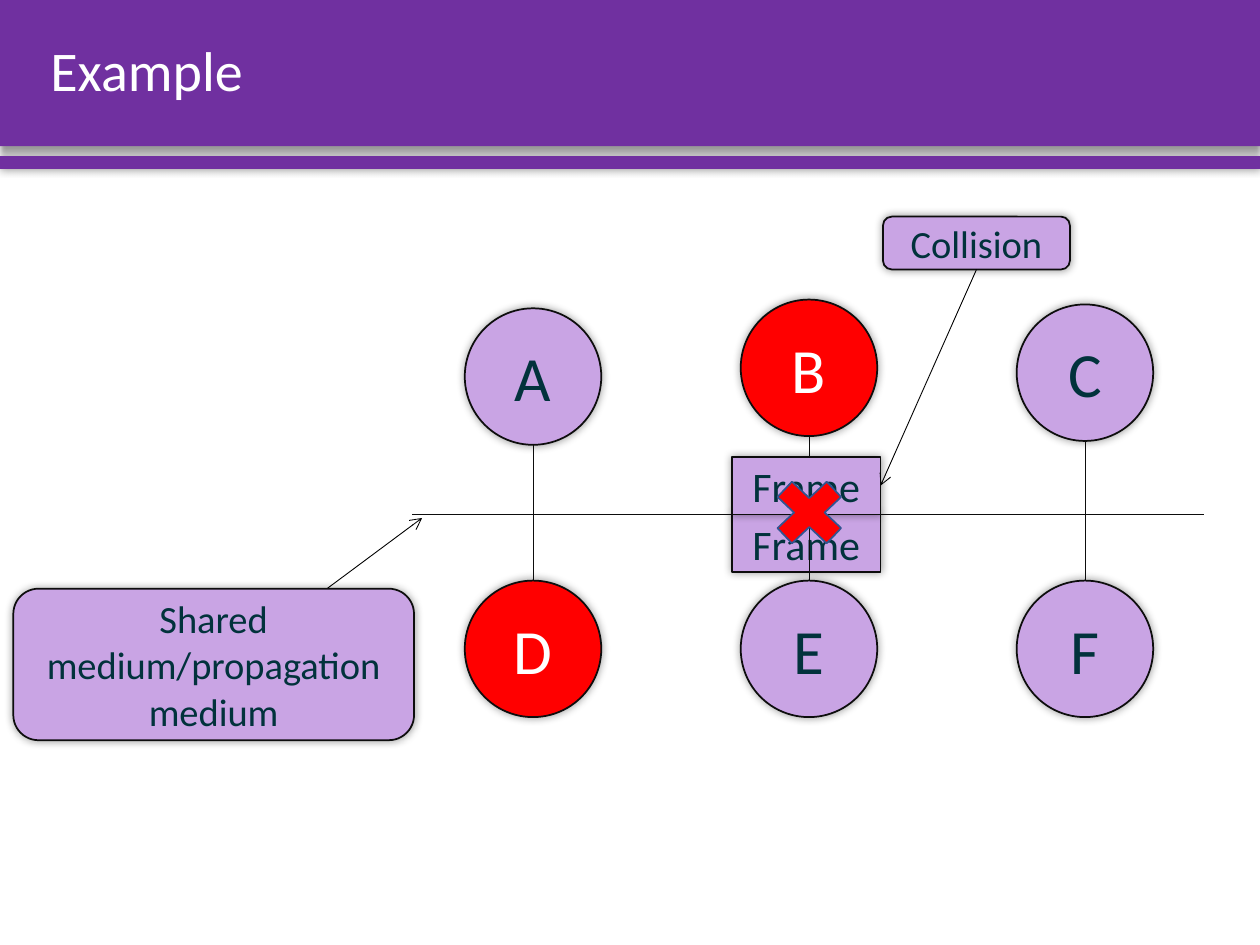
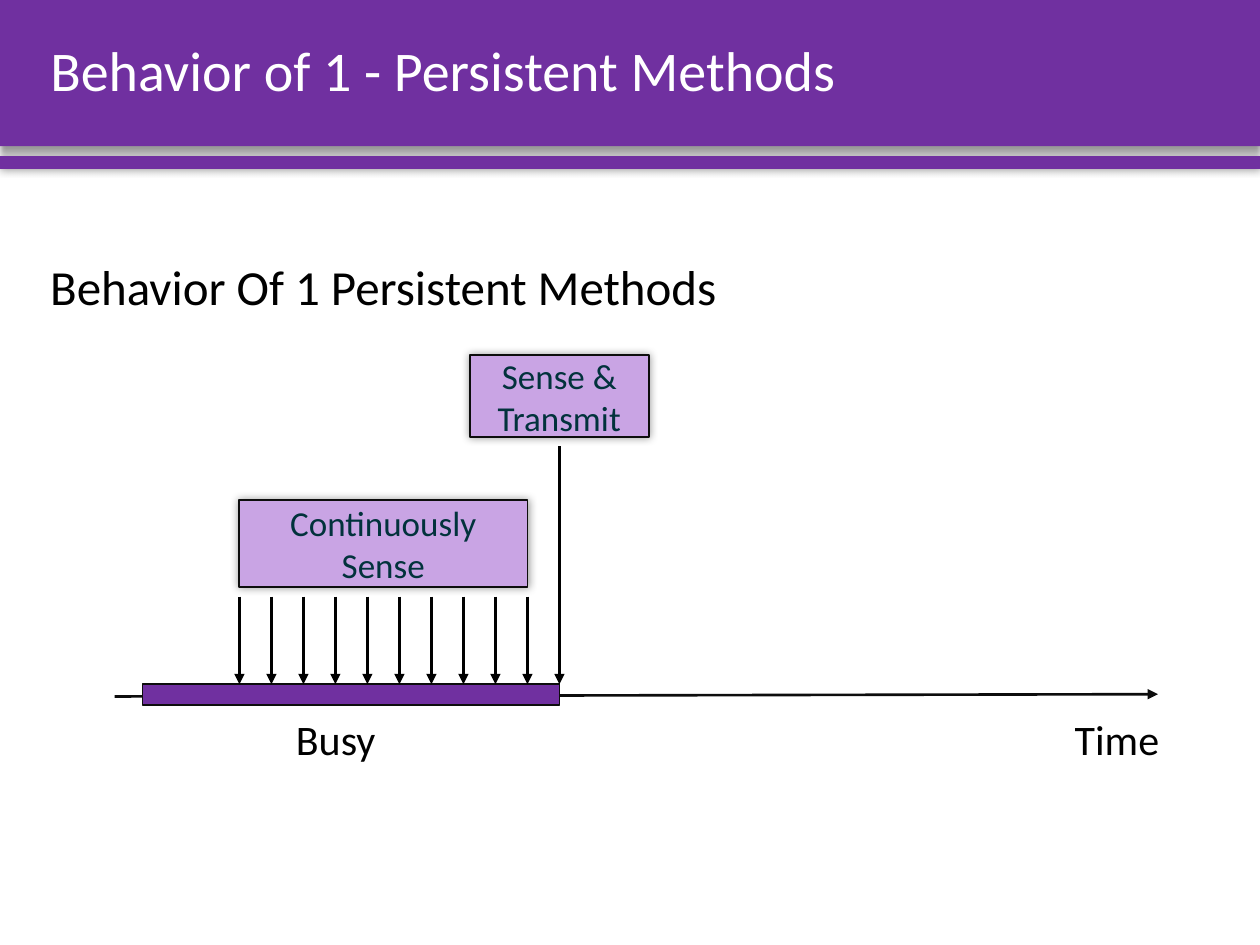
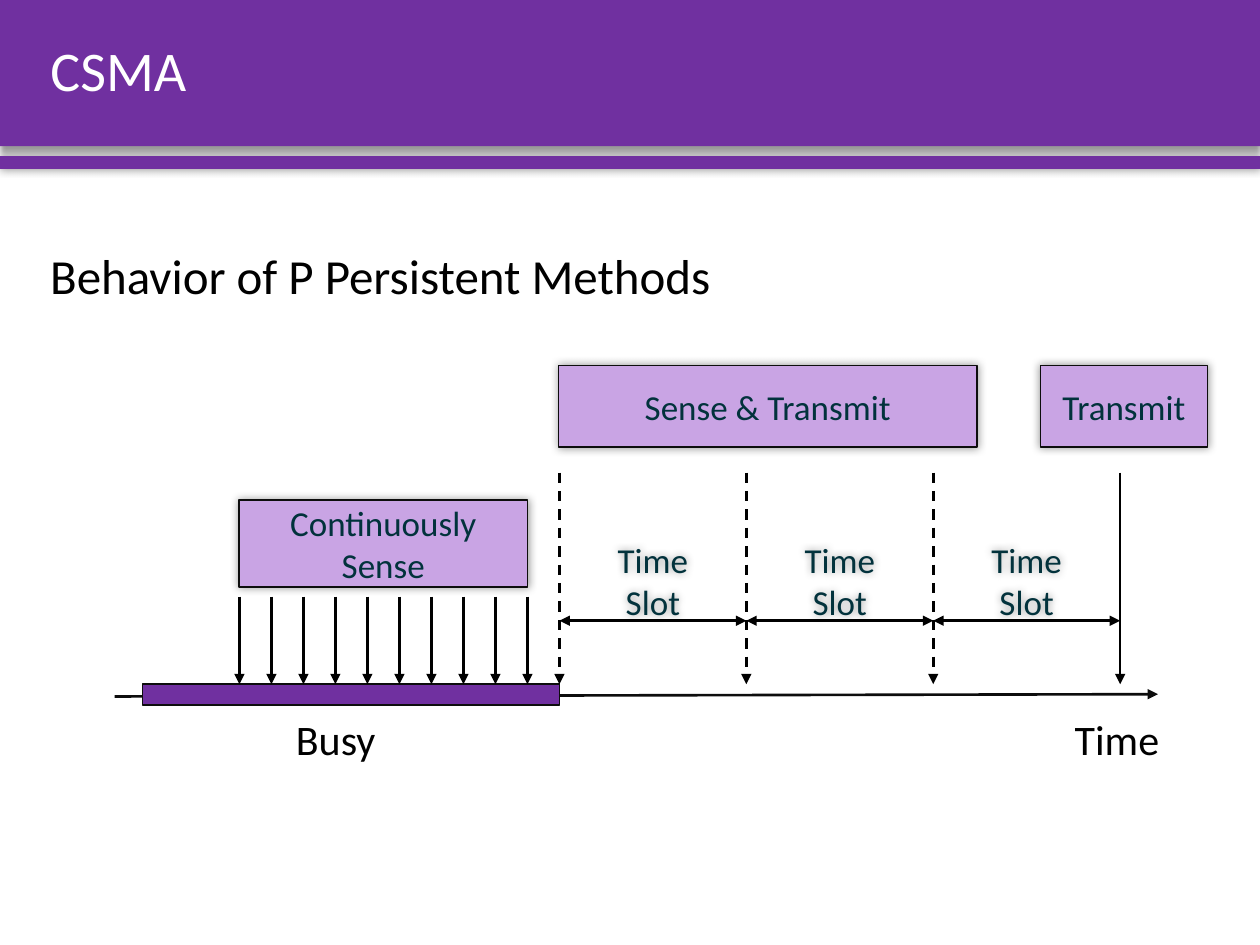
from pptx import Presentation
from pptx.dml.color import RGBColor
from pptx.enum import dml, shapes, text
from pptx.oxml import parse_xml
from pptx.oxml import ns
from pptx.util import Pt

PURPLE = RGBColor(0x70, 0x30, 0xA0)
LILAC = RGBColor(0xC9, 0xA4, 0xE4)
RED = RGBColor(0xFF, 0x00, 0x00)
NAVY = RGBColor(0x32, 0x54, 0x91)
TEAL = RGBColor(0x02, 0x32, 0x3C)
INK = RGBColor(0x0D, 0x0D, 0x0D)
BLACK = RGBColor(0x00, 0x00, 0x00)
WHITE = RGBColor(0xFF, 0xFF, 0xFF)

FONT = "Calibri"
RECT = shapes.MSO_SHAPE.RECTANGLE
ROUNDED = shapes.MSO_SHAPE.ROUNDED_RECTANGLE
GLOW = (5, 0, 0)
BAND_HEIGHT = 83.5

MEDIUM_Y = 294
NODE_SIZE = 78
NODE_X = 304.6
NODE_PITCH = 157.7

SENSE_X = 136.8
SENSE_PITCH = 18.29
SENSE_COUNT = 10
BUSY_X = 81.4
BUSY_Y = 391
IDLE_X = SENSE_X + SENSE_COUNT * SENSE_PITCH
SLOT_WIDTH = 106.8
SLOT_COUNT = 3


def add_run(paragraph, words, size, color):
    """Add one formatted run to a paragraph."""
    run = paragraph.add_run()
    run.text = words
    run.font.name = FONT
    run.font.size = Pt(size)
    run.font.color.rgb = color


def add_shadow(shape, blur, distance, angle):
    """Give a shape a soft black shadow."""
    shape.shadow.inherit = False
    effects = shape.element.spPr.find(ns.qn("a:effectLst"))
    effects.append(parse_xml(
        f'<a:outerShdw {ns.nsdecls("a")} blurRad="{Pt(blur)}" dist="{Pt(distance)}" '
        f'dir="{angle * 60000}" algn="ctr" rotWithShape="0">'
        '<a:srgbClr val="000000"><a:alpha val="40000"/></a:srgbClr></a:outerShdw>'))


def add_box(slide, place, words="", size=20, kind=RECT, fill=LILAC, outline=INK,
            color=TEAL, shadow=GLOW):
    """Draw a preset shape with centred text."""
    box = slide.shapes.add_shape(kind, *map(Pt, place))
    if fill is None:
        box.fill.background()
    else:
        box.fill.solid()
        box.fill.fore_color.rgb = fill
    if outline is None:
        box.line.fill.background()
    else:
        box.line.color.rgb = outline
        box.line.width = Pt(1)
    box.shadow.inherit = False
    if shadow:
        add_shadow(box, *shadow)
    if words:
        frame = box.text_frame
        frame.word_wrap = True
        frame.vertical_anchor = text.MSO_ANCHOR.MIDDLE
        frame.paragraphs[0].alignment = text.PP_ALIGN.CENTER
        add_run(frame.paragraphs[0], words, size, color)
    return box


def add_line(slide, start, end, width=1.5, color=BLACK, head=None, tail=None, dashed=False):
    """Draw a straight line with optional arrowheads."""
    line = slide.shapes.add_connector(
        shapes.MSO_CONNECTOR.STRAIGHT, *map(Pt, (*start, *end)))
    line.line.color.rgb = color
    line.line.width = Pt(width)
    if dashed:
        line.line.dash_style = dml.MSO_LINE.DASH
    properties = line.element.spPr
    outline = properties.find(ns.qn("a:ln"))
    for tag, arrow in (("headEnd", head), ("tailEnd", tail)):
        if arrow:
            outline.append(parse_xml(f'<a:{tag} {ns.nsdecls("a")} type="{arrow}"/>'))
    properties.append(parse_xml(f'<a:effectLst {ns.nsdecls("a")}/>'))
    return line


def add_label(slide, place, words, size):
    """Add an unwrapped line of black text."""
    frame = slide.shapes.add_textbox(*map(Pt, place)).text_frame
    frame.word_wrap = False
    frame.auto_size = text.MSO_AUTO_SIZE.SHAPE_TO_FIT_TEXT
    add_run(frame.paragraphs[0], words, size, BLACK)


def add_slide(deck, layout, title):
    """Add a slide with the shared title style."""
    slide = deck.slides.add_slide(layout)
    frame = slide.shapes.title.text_frame
    frame.vertical_anchor = text.MSO_ANCHOR.MIDDLE
    heading = frame.paragraphs[0]
    heading.alignment = text.PP_ALIGN.LEFT
    heading.line_spacing = 0.9
    add_run(heading, title, 32, WHITE)
    return slide


def prepare_layout(layout):
    """Keep only the title on the layout and place it."""
    for holder in list(layout.placeholders):
        if holder.placeholder_format.idx:
            holder.element.getparent().remove(holder.element)
        else:
            holder.left, holder.top, holder.width, holder.height = map(
                Pt, (21.6, 0, 681, BAND_HEIGHT))


def share_bands(slide, layout):
    """Build the header bands and set them behind the layout's title."""
    bands = (((0, 0, 720, BAND_HEIGHT), (4, 3, 90)),
             ((0, 89.3, 720, 7.2), GLOW))
    for position, (place, shadow) in enumerate(bands, start=2):
        band = add_box(slide, place, fill=PURPLE, outline=None, shadow=shadow)
        layout.shapes.element.insert(position, band.element)


def draw_collision(slide):
    """Draw six stations on a shared medium and two colliding frames."""
    add_line(slide, (145.4, 367.2), (241.2, 296), 0.5, tail="arrow")
    add_box(slide, (7.6, 336.4, 229, 86.6), "Shared medium/propagation medium", 22, ROUNDED)
    add_box(slide, (418.2, MEDIUM_Y, 85, 33), "Frame", 24)
    add_line(slide, (235.5, MEDIUM_Y), (687.8, MEDIUM_Y), 0.5, INK)

    centers = [NODE_X + column * NODE_PITCH for column in range(3)]
    for center in centers:
        for node_y in (234.7, 353.2):
            add_line(slide, (center, node_y), (center, MEDIUM_Y), 0.5, INK)
    stations = zip("ABCDEF", centers * 2, (176.2, 171.2, 174, 331.8, 331.8, 331.8))
    for station, center, top in stations:
        sending = station in "BD"
        add_box(slide, (center - NODE_SIZE / 2, top, NODE_SIZE, NODE_SIZE), station, 36,
                shapes.MSO_SHAPE.OVAL, RED if sending else LILAC,
                color=WHITE if sending else TEAL)

    upper_frame = add_box(slide, (418.2, MEDIUM_Y - 33, 85, 33), "Frame", 24)
    add_box(slide, (435.5, 267.4, 54, 51), kind=shapes.MSO_SHAPE.MATH_MULTIPLY,
            fill=RED, outline=NAVY, shadow=None)
    collision = add_box(slide, (504.6, 123.8, 106.8, 30.2), "Collision", 22, ROUNDED)
    pointer = add_line(slide, (558, 154), (503.2, 277.5), 0.5, tail="arrow")
    pointer.begin_connect(collision, 2)
    pointer.end_connect(upper_frame, 3)


def draw_busy_timeline(slide):
    """Draw the time axis, its busy period and the continuous sensing."""
    add_line(slide, (65.5, 398), (661.7, 396.7), color=INK, tail="triangle")
    add_box(slide, (BUSY_X, BUSY_Y, IDLE_X - BUSY_X, 11.7), fill=PURPLE, shadow=None)
    for tick in range(SENSE_COUNT):
        x = SENSE_X + tick * SENSE_PITCH
        add_line(slide, (x, 341), (x, BUSY_Y), tail="triangle")
    add_box(slide, (SENSE_X - 0.3, 285.7, 165, 49.7), "Continuously Sense")
    add_label(slide, (607, 404, 66, 36), "Time", 24)
    add_label(slide, (162, 404, 68, 36), "Busy", 24)


def draw_one_persistent(slide):
    """Show a station that transmits as soon as the medium is idle."""
    add_label(slide, (21.6, 143.3, 448.6, 41), "Behavior Of 1 Persistent Methods", 28)
    draw_busy_timeline(slide)
    add_line(slide, (IDLE_X, 255), (IDLE_X, BUSY_Y), tail="triangle")
    add_box(slide, (268.5, 203, 102.2, 46.8), "Sense & Transmit")


def draw_p_persistent(slide):
    """Show a station that waits through time slots before it transmits."""
    add_label(slide, (21.6, 136.8, 453.6, 41), "Behavior of P Persistent Methods", 28)
    draw_busy_timeline(slide)
    add_box(slide, (319.2, 208.8, 239, 46.8), "Sense & Transmit")
    add_box(slide, (594.5, 208.8, 95.5, 46.8), "Transmit")
    edges = [IDLE_X + slot * SLOT_WIDTH for slot in range(SLOT_COUNT + 1)]
    for edge in edges:
        add_line(slide, (edge, 270), (edge, BUSY_Y), tail="triangle", dashed=edge != edges[-1])
    for left, right in zip(edges, edges[1:]):
        add_line(slide, (left, 354.7), (right, 354.7), head="triangle", tail="triangle")
        add_box(slide, ((left + right) / 2 - 36, 317.5, 72, 28), "Time Slot",
                fill=None, outline=None)


def main():
    """Build and save the deck."""
    deck = Presentation()
    deck.slide_width, deck.slide_height = Pt(720), Pt(540)
    layout = deck.slide_layouts[5]
    prepare_layout(layout)

    example = add_slide(deck, layout, "Example")
    share_bands(example, layout)
    draw_collision(example)
    draw_one_persistent(add_slide(deck, layout, "Behavior of 1 - Persistent Methods"))
    draw_p_persistent(add_slide(deck, layout, "CSMA"))
    deck.save("out.pptx")


if __name__ == "__main__":
    main()
